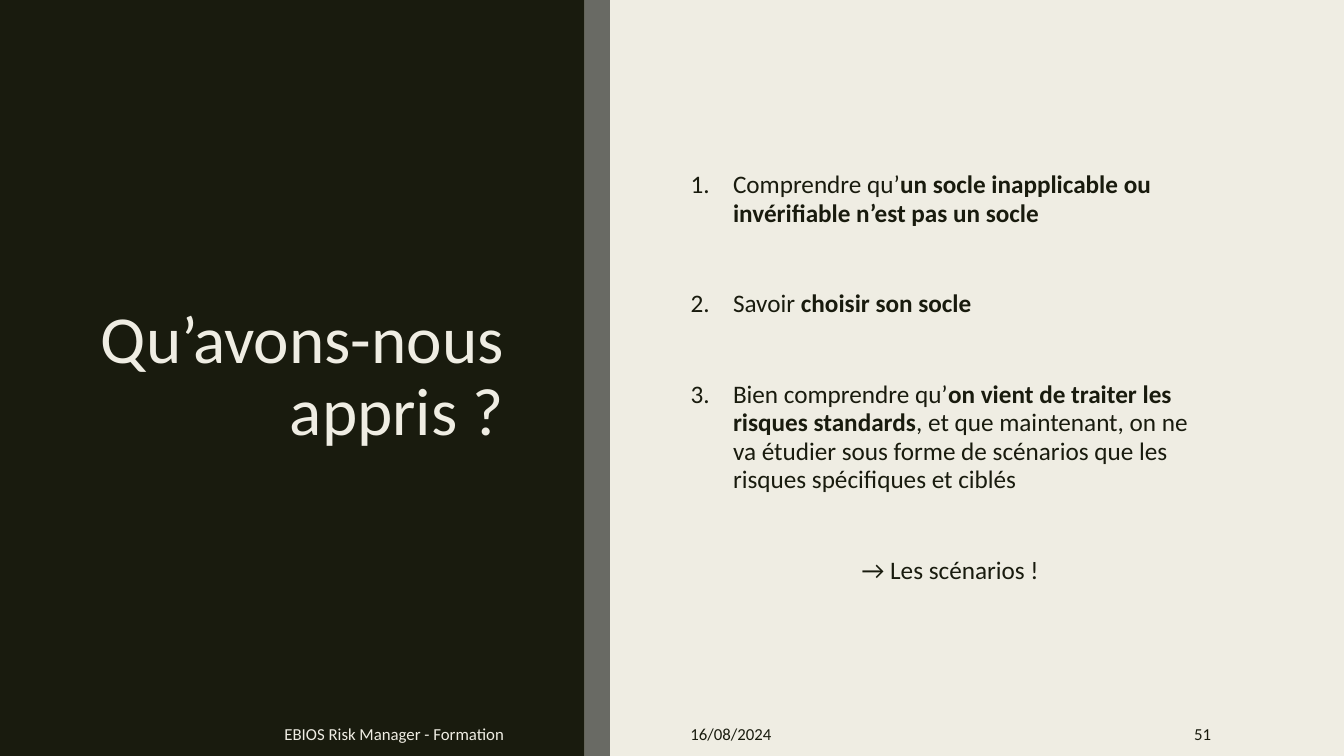
from lxml import etree
from pptx import Presentation
from pptx.dml.color import RGBColor
from pptx.enum.shapes import MSO_SHAPE
from pptx.enum.text import MSO_ANCHOR, MSO_AUTO_SIZE, PP_ALIGN
from pptx.oxml.ns import qn
from pptx.util import Inches, Pt

RECT = MSO_SHAPE.RECTANGLE
MIDDLE = MSO_ANCHOR.MIDDLE
FIXED = MSO_AUTO_SIZE.NONE
LEFT, CENTER, RIGHT = PP_ALIGN.LEFT, PP_ALIGN.CENTER, PP_ALIGN.RIGHT

DARK, GREY, CREAM = "191B0E", "696A64", "EFEDE3"
WIDTH, HEIGHT = 13.33, 7.5
PANEL, BAND = 5.8, 0.25
TOP, TALL = 0.87, 5.76
FOOT, LOW = 7.06, 0.44
INDENT = 0.42

LESSONS = [
    [("Comprendre qu’", False),
     ("un socle inapplicable ou invérifiable n’est pas un socle", True)],
    [("Savoir ", False), ("choisir son socle", True)],
    [("Bien comprendre qu’", False),
     ("on vient de traiter les risques standards", True),
     (", et que maintenant, on ne va étudier sous forme de scénarios "
      "que les risques spécifiques et ciblés", False)],
]


def paint(fill, color):
    fill.solid()
    fill.fore_color.rgb = RGBColor.from_string(color)


def place(shape, box):
    shape.left, shape.top, shape.width, shape.height = map(Inches, box)
    frame = shape.text_frame
    frame.word_wrap = True
    frame.auto_size = FIXED
    frame.vertical_anchor = MIDDLE
    return frame


def write(para, text, size=18, color=DARK, bold=False, align=LEFT):
    para.alignment = align
    run = para.add_run()
    run.text = text
    font = run.font
    font.name, font.size, font.bold = "Calibri", Pt(size), bold
    font.color.rgb = RGBColor.from_string(color)


def block(slide, box, color):
    shape = slide.shapes.add_shape(RECT, *map(Inches, box))
    shape.shadow.inherit = False
    paint(shape.fill, color)
    shape.line.fill.background()


def style(para, first, number):
    props = para._p.get_or_add_pPr()
    indent = Inches(INDENT) if number else 0
    props.set("marL", str(indent))
    props.set("indent", str(-indent))
    if number:
        bullet = etree.SubElement(props, qn("a:buAutoNum"))
        bullet.set("type", "arabicPeriod")
    else:
        etree.SubElement(props, qn("a:buNone"))
    para.line_spacing = 0.94
    para.space_before = Pt(0 if first else 44.5)
    para.space_after = Pt(0)


def heading(slide, box):
    frame = place(slide.shapes.title, box)
    para = frame.paragraphs[0]
    para.line_spacing = 0.89
    write(para, "Qu’avons-nous appris ?", size=48, color=CREAM, align=RIGHT)


def lessons(slide, box):
    frame = place(slide.placeholders[1], box)
    for index, parts in enumerate(LESSONS):
        para = frame.add_paragraph() if index else frame.paragraphs[0]
        style(para, index == 0, True)
        for text, bold in parts:
            write(para, text, bold=bold)
    para = frame.add_paragraph()
    style(para, False, False)
    write(para, "→ Les scénarios !", align=CENTER)


def footer(slide, top, height):
    notes = [
        ("EBIOS Risk Manager - Formation", 0.34, 4.76, CREAM, RIGHT),
        ("16/08/2024", 6.75, 1.34, DARK, LEFT),
        ("51", 10.36, 1.75, DARK, RIGHT),
    ]
    for text, left, width, color, align in notes:
        box = (left, top, width, height)
        shape = slide.shapes.add_textbox(*map(Inches, box))
        para = place(shape, box).paragraphs[0]
        para.space_after = Pt(6)
        write(para, text, size=12, color=color, align=align)


def backdrop(slide):
    paint(slide.background.fill, CREAM)
    block(slide, (0, 0, PANEL, HEIGHT), DARK)
    block(slide, (PANEL, 0, BAND, HEIGHT), GREY)
    tree = slide.shapes._spTree
    for holder in list(slide.placeholders):
        tree.append(holder._element)


def main():
    deck = Presentation()
    deck.slide_width, deck.slide_height = Inches(WIDTH), Inches(HEIGHT)
    slide = deck.slides.add_slide(deck.slide_layouts[1])
    backdrop(slide)
    heading(slide, (0.7, TOP, 4.4, TALL))
    lessons(slide, (6.75, TOP, 5.35, TALL))
    footer(slide, FOOT, LOW)
    deck.save("out.pptx")


if __name__ == "__main__":
    main()
